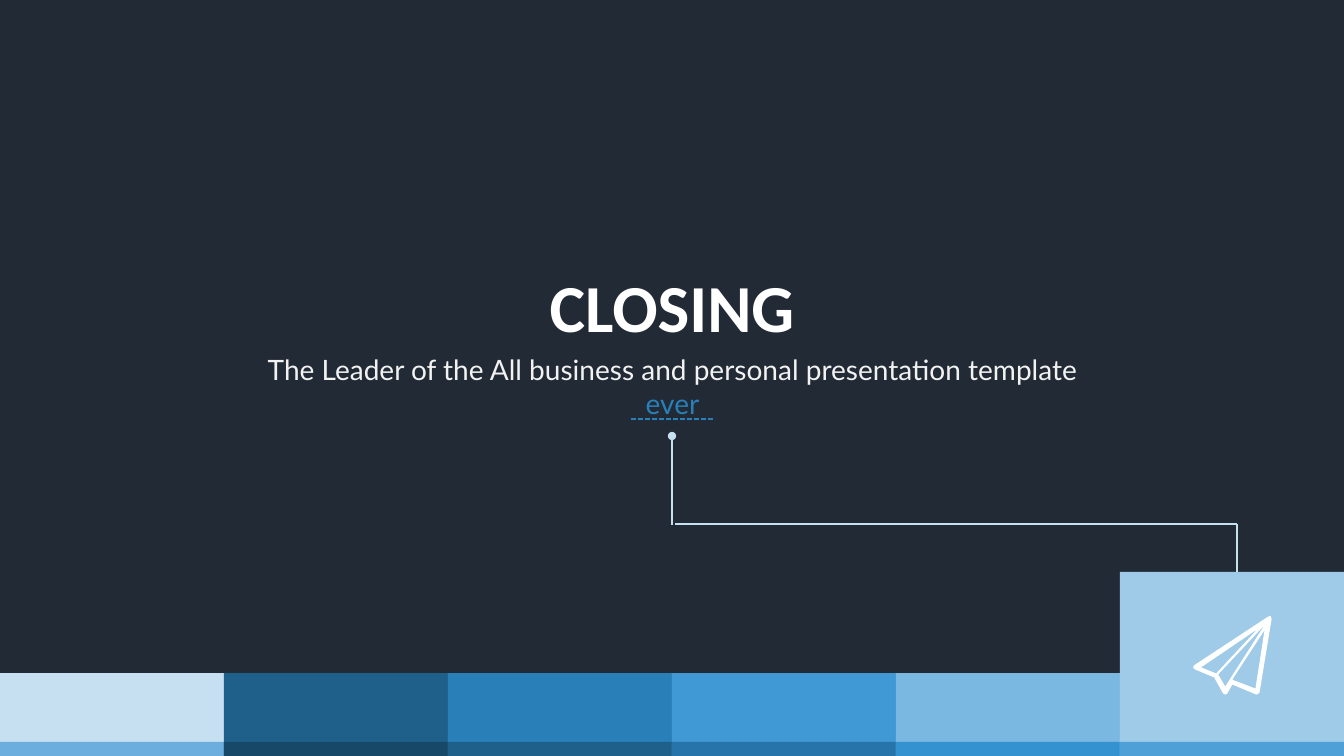
from lxml.etree import SubElement
from pptx import Presentation
from pptx.dml.color import RGBColor
from pptx.enum.dml import MSO_LINE_DASH_STYLE as DASH
from pptx.enum.shapes import MSO_CONNECTOR, MSO_SHAPE
from pptx.enum.text import MSO_AUTO_SIZE, PP_ALIGN
from pptx.oxml.ns import qn
from pptx.util import Pt

PX = 914400 / 100.8
WIDTH, HEIGHT = 1344, 756
COLORS = {
    "background": "222A35",
    "white": "FFFFFF",
    "subtitle": "F2F2F2",
    "accent": "2980B9",
    "path": "C6E0F2",
}
# Main and base colour of each column, left to right
COLUMNS = [
    ("C6E0F2", "6CAFDE"),
    ("1F608B", "174868"),
    ("2980B9", "1F608B"),
    ("4098D4", "2674A9"),
    ("7BB8E1", "3492D1"),
    ("9FCBE9", "4FA0D7"),
]


def emu(*lengths):
    """Turn px lengths into EMU."""
    return [round(length * PX) for length in lengths]


def style_shape(shape, color):
    shape.shadow.inherit = False
    shape.fill.solid()
    shape.fill.fore_color.rgb = RGBColor.from_string(color)
    shape.line.fill.background()


presentation = Presentation()
presentation.slide_width, presentation.slide_height = emu(WIDTH, HEIGHT)
slide = presentation.slides.add_slide(presentation.slide_layouts[6])
slide.background.fill.solid()
slide.background.fill.fore_color.rgb = RGBColor.from_string(COLORS["background"])

# Colour columns, the last one taller, each with a strip along its base
column_width = WIDTH // len(COLUMNS)
for index, (main, base) in enumerate(COLUMNS):
    column_top = 572 if index == len(COLUMNS) - 1 else 673
    for top, color in ((column_top, main), (742, base)):
        box = emu(index * column_width, top, column_width, HEIGHT - top)
        style_shape(slide.shapes.add_shape(MSO_SHAPE.RECTANGLE, *box), color)

# Title and subtitle
texts = [
    ((538, 260, 268, 92), False, "Calibri", 48, True, [("CLOSING", "white")]),
    ((235, 348, 875, 44), True, "Lato", 20, False, [
        ("The Leader of the All business and personal presentation template ", "subtitle"),
        ("ever", "accent"),
    ]),
]
for box, wrap, font_name, size, bold, runs in texts:
    frame = slide.shapes.add_textbox(*emu(*box)).text_frame
    frame.word_wrap = wrap
    frame.auto_size = MSO_AUTO_SIZE.SHAPE_TO_FIT_TEXT
    paragraph = frame.paragraphs[0]
    paragraph.alignment = PP_ALIGN.CENTER
    for text, color in runs:
        run = paragraph.add_run()
        run.text = text
        run.font.name = font_name
        run.font.size = Pt(size)
        run.font.bold = bold
        run.font.color.rgb = RGBColor.from_string(COLORS[color])

# Dashed underline and the path from the text to the last column
lines = [
    ((631, 419, 713, 419), "accent", "dashed"),
    ((672, 436, 672, 525), "path", "dot"),
    ((675, 524, 1237, 524), "path", None),
    ((1237, 524, 1237, 572), "path", None),
]
for ends, color, feature in lines:
    connector = slide.shapes.add_connector(MSO_CONNECTOR.STRAIGHT, *emu(*ends))
    connector.line.width = Pt(1.25)
    connector.line.color.rgb = RGBColor.from_string(COLORS[color])
    if feature == "dashed":
        connector.line.dash_style = DASH.SQUARE_DOT
    if feature == "dot":
        SubElement(connector.line._get_or_add_ln(), qn("a:headEnd"), type="oval")
    SubElement(connector._element.spPr, qn("a:effectLst"))

# Paper plane: outline and three cut-outs, in hundredths of an inch
plane_contours = [
    [(77, 0), (76, 0), (74, 1), (1, 49), (0, 51), (2, 53), (21, 61), (30, 77),
     (32, 78), (34, 77), (39, 68), (63, 78), (65, 77), (66, 76), (78, 3)],
    [(8, 51), (64, 13), (23, 57)],
    [(25, 58), (71, 9), (32, 70)],
    [(62, 72), (41, 64), (39, 63), (71, 14)],
]
outline, *cutouts = plane_contours
builder = slide.shapes.build_freeform(*outline[0], scale=9144)
builder.add_line_segments(outline[1:], close=True)
for start, *points in cutouts:
    builder.move_to(*start)
    builder.add_line_segments(points, close=True)
style_shape(builder.convert_to_shape(*emu(1193, 616)), COLORS["white"])

presentation.save("out.pptx")
